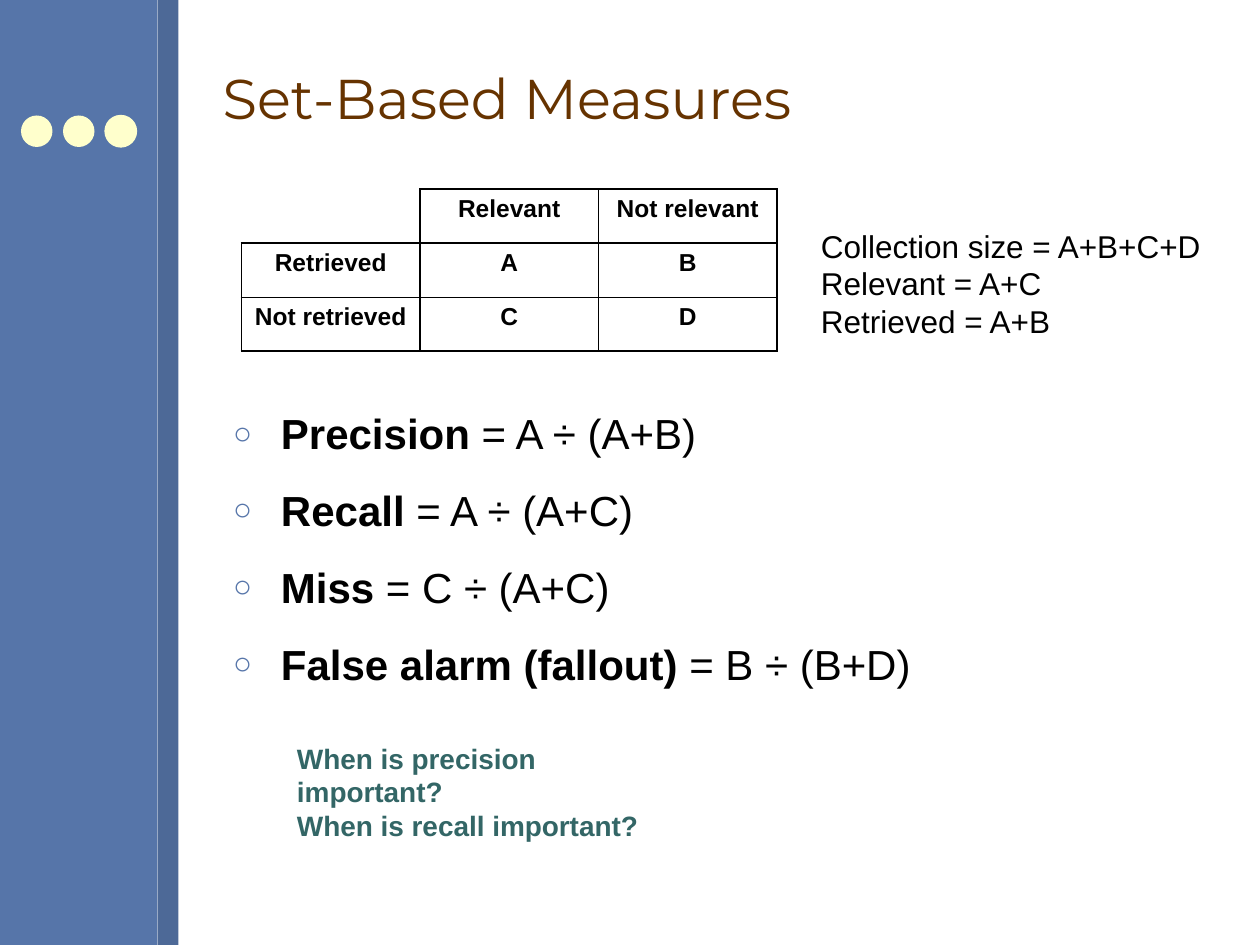
import lxml.etree
import pptx
import pptx.dml.color
import pptx.enum.shapes
import pptx.enum.text
import pptx.oxml.ns
import pptx.util

RGBColor = pptx.dml.color.RGBColor
BLUE = RGBColor(0x56, 0x75, 0xA9)
DARK_BLUE = RGBColor(0x4D, 0x69, 0x97)
CREAM = RGBColor(0xFF, 0xFF, 0xCC)
BROWN = RGBColor(0x66, 0x33, 0x00)
TEAL = RGBColor(0x33, 0x66, 0x66)
BLACK = RGBColor(0x00, 0x00, 0x00)
SHAPE = pptx.enum.shapes.MSO_SHAPE
ANCHOR = pptx.enum.text.MSO_ANCHOR
ALIGN = pptx.enum.text.PP_ALIGN
FIT = pptx.enum.text.MSO_AUTO_SIZE
COLUMNS, ROWS = 120, 90

TABLE = [
    ["", "Relevant", "Not relevant"],
    ["Retrieved", "A", "B"],
    ["Not retrieved", "C", "D"],
]
MEASURES = [
    ("Precision", " = A ÷ (A+B)"),
    ("Recall", " = A ÷ (A+C)"),
    ("Miss", " = C ÷ (A+C)"),
    ("False alarm (fallout)", " = B ÷ (B+D)"),
]
SIZES = ["Collection size = A+B+C+D", "Relevant = A+C", "Retrieved = A+B"]
QUESTIONS = ["When is precision important?", "When is recall important?"]


def add_run(p, text, size=18, color=BLACK, bold=False, font="Arial"):
    r = p.add_run()
    r.text = text
    r.font.size = pptx.util.Pt(size)
    r.font.color.rgb = color
    r.font.bold = bold
    r.font.name = font


def add_element(parent, tag, **attributes):
    return lxml.etree.SubElement(parent, pptx.oxml.ns.qn(tag), **attributes)


class SlideBuilder:
    """Places styled elements on one slide by grid columns and rows."""

    def __init__(self, prs):
        self.unit_x = prs.slide_width / COLUMNS
        self.unit_y = prs.slide_height / ROWS
        self.slide = prs.slides.add_slide(prs.slide_layouts[1])

    def box(self, x, y, w, h):
        return (round(x * self.unit_x), round(y * self.unit_y),
                round(w * self.unit_x), round(h * self.unit_y))

    def place(self, sp, *area):
        sp.left, sp.top, sp.width, sp.height = self.box(*area)

    def shape(self, kind, area, color, line=None):
        sp = self.slide.shapes.add_shape(kind, *self.box(*area))
        sp.shadow.inherit = False
        sp.fill.solid()
        sp.fill.fore_color.rgb = color
        if line:
            sp.line.color.rgb = color
            sp.line.width = pptx.util.Pt(line)
        else:
            sp.line.fill.background()

    def title(self, text, area):
        sp = self.slide.shapes.title
        self.place(sp, *area)
        tf = sp.text_frame
        tf.auto_size = FIT.NONE
        tf.vertical_anchor = ANCHOR.MIDDLE
        p = tf.paragraphs[0]
        p.alignment = ALIGN.LEFT
        add_run(p, text, size=32, color=BROWN, font="Montserrat")

    def bullets(self, items, area):
        sp = self.slide.placeholders[1]
        self.place(sp, *area)
        tf = sp.text_frame
        tf.auto_size = FIT.NONE
        for i, (name, formula) in enumerate(items):
            p = tf.add_paragraph() if i else tf.paragraphs[0]
            pPr = p._p.get_or_add_pPr()
            indent = pptx.util.Inches(0.38)
            pPr.set("marL", str(indent))
            pPr.set("indent", str(-indent))
            add_element(add_element(pPr, "a:buClr"), "a:srgbClr", val=str(BLUE))
            add_element(pPr, "a:buSzPct", val="75000")
            add_element(pPr, "a:buChar", char="○")
            p.space_before = pptx.util.Pt(7.5 if i else 0)
            p.space_after = pptx.util.Pt(7.5)
            add_run(p, name, size=24, bold=True)
            add_run(p, formula, size=24)

    def text_box(self, lines, area, **style):
        tf = self.slide.shapes.add_textbox(*self.box(*area)).text_frame
        tf.word_wrap = False
        tf.auto_size = FIT.SHAPE_TO_FIT_TEXT
        for i, line in enumerate(lines):
            p = tf.add_paragraph() if i else tf.paragraphs[0]
            add_run(p, line, **style)

    def border(self, cell, tag, width):
        ln = add_element(cell._tc.get_or_add_tcPr(), tag,
                         w=str(pptx.util.Pt(width)))
        if width:
            fill = add_element(ln, "a:solidFill")
            add_element(fill, "a:srgbClr", val=str(BLACK))
        else:
            add_element(ln, "a:noFill")

    def table(self, rows, area):
        frame = self.slide.shapes.add_table(len(rows), len(rows[0]), *self.box(*area))
        table = frame.table
        table.first_row = table.horz_banding = False
        edges = [1.08, 1.08, 0.45, 1.08]
        for i, row in enumerate(rows):
            for j, text in enumerate(row):
                cell = table.cell(i, j)
                self.border(cell, "a:lnL", edges[j] if i or j else 0)
                self.border(cell, "a:lnR", edges[j + 1])
                self.border(cell, "a:lnT", edges[i] if i or j else 0)
                self.border(cell, "a:lnB", edges[i + 1])
                cell.fill.background()
                if text:
                    p = cell.text_frame.paragraphs[0]
                    p.alignment = ALIGN.CENTER
                    p.space_after = pptx.util.Pt(4.4)
                    add_run(p, text, size=14, bold=True)


def main():
    prs = pptx.Presentation()
    prs.slide_width = pptx.util.Inches(10)
    prs.slide_height = pptx.util.Inches(7.5)
    page = SlideBuilder(prs)
    page.shape(SHAPE.RECTANGLE, (0, 0, 15, ROWS), BLUE)
    page.shape(SHAPE.RECTANGLE, (15, 0, 2, ROWS), DARK_BLUE)
    for x, line in ((2, None), (6, None), (10, 0.75)):
        page.shape(SHAPE.OVAL, (x, 11, 3, 3), CREAM, line)
    page.title("Set-Based Measures", (20, 2.5, 96, 13.5))
    page.bullets(MEASURES, (21, 38.25, 95, 44.75))
    page.table(TABLE, (23, 18, 51, 15.43))
    page.text_box(SIZES, (77, 21, 38.75, 12))
    page.text_box(QUESTIONS, (27.1, 70, 39.7, 7.7), size=16, color=TEAL, bold=True)
    prs.save("out.pptx")


if __name__ == "__main__":
    main()
